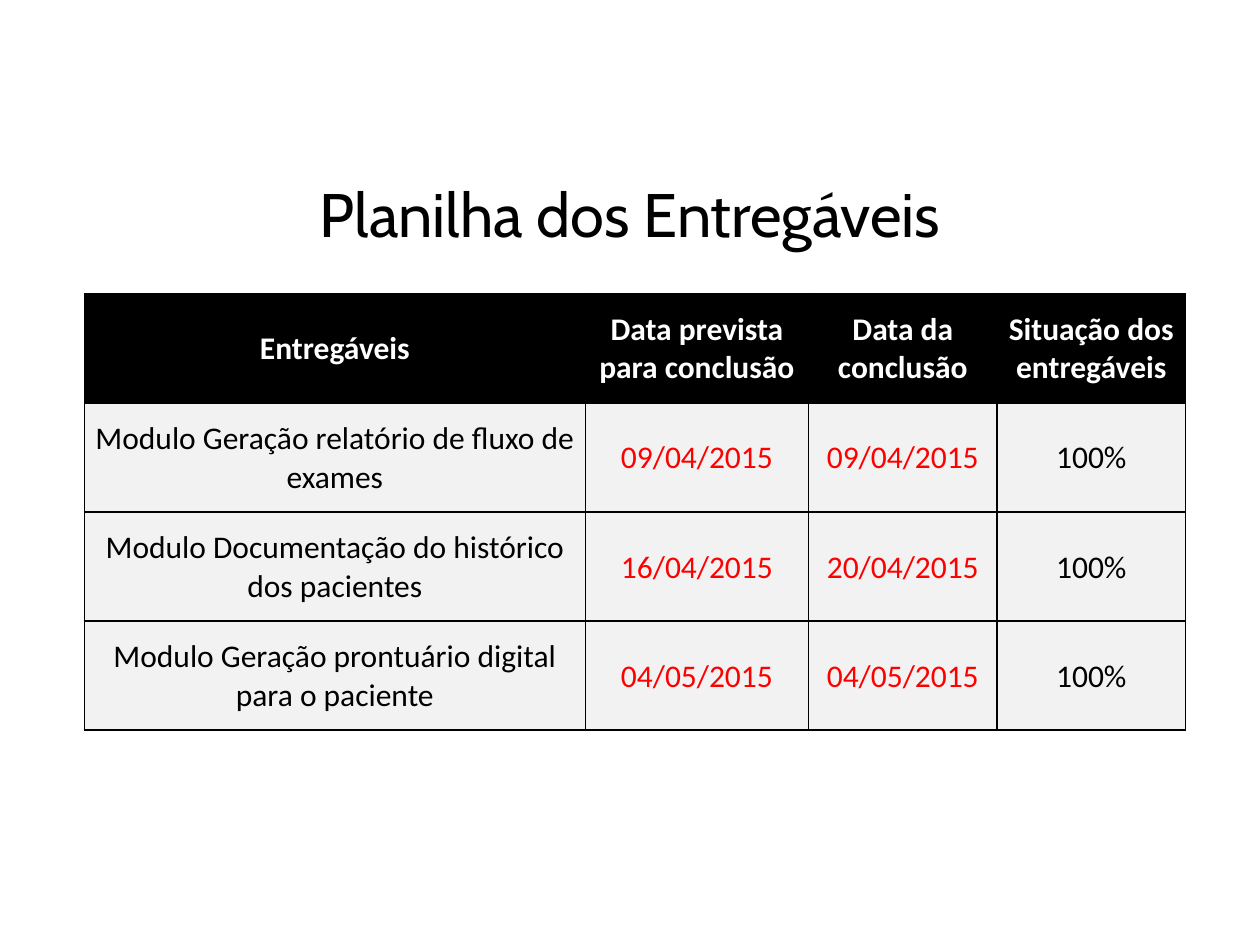
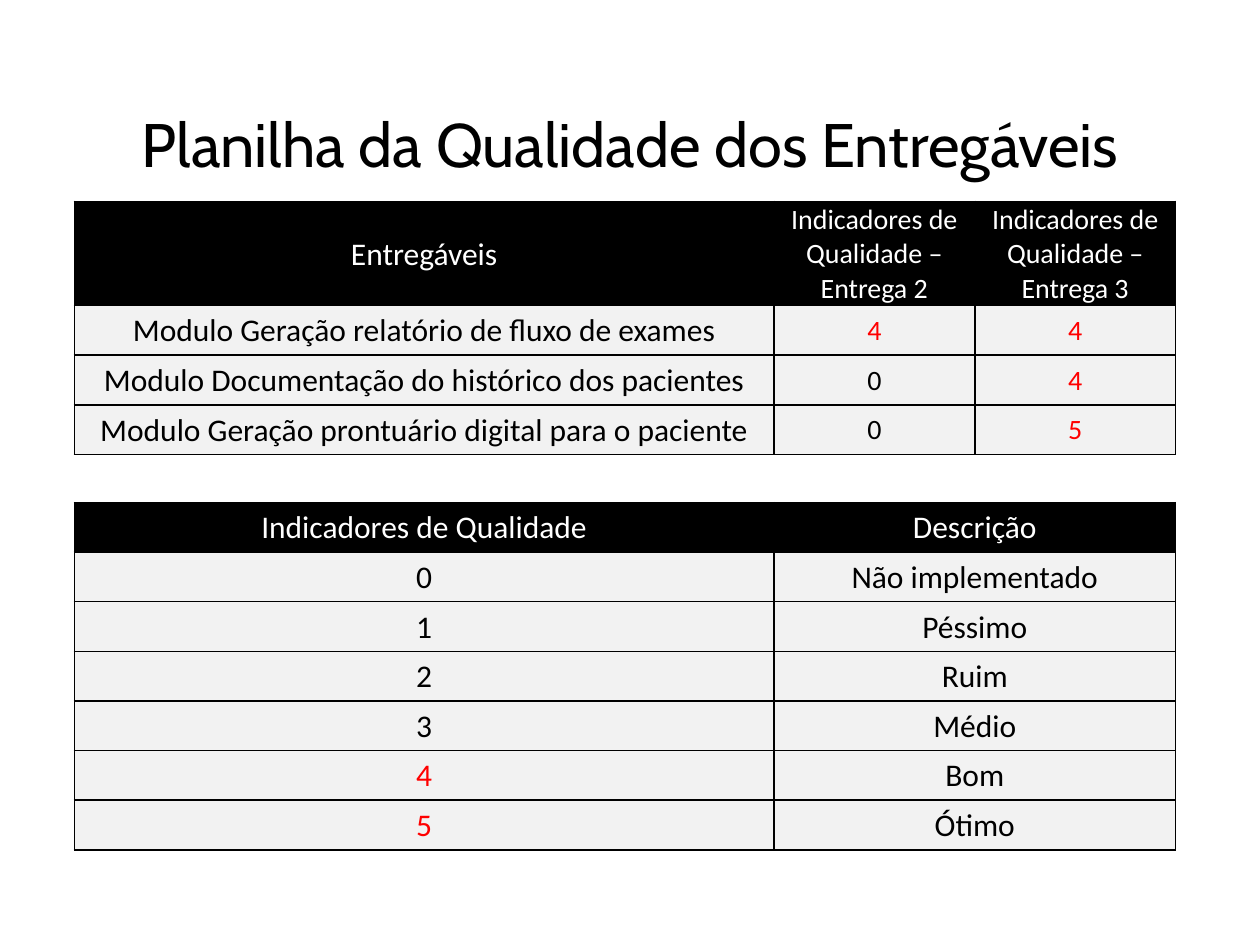
from pptx import Presentation
from pptx.dml.color import RGBColor
from pptx.enum.text import MSO_ANCHOR as Anchor, PP_ALIGN as Align
from pptx.oxml.ns import qn
from pptx.util import Cm, Pt
from lxml.etree import SubElement

BLACK = RGBColor(0x00, 0x00, 0x00)
WHITE = RGBColor(0xFF, 0xFF, 0xFF)
RED = RGBColor(0xFF, 0x00, 0x00)
LIGHT_GREY = RGBColor(0xF2, 0xF2, 0xF2)

SLIDE_WIDTH, SLIDE_HEIGHT = 25.4, 19.05
TITLE_HEIGHT = 2.16
TITLE_FONT = {"name": "Cabin", "size": Pt(35.1)}
CELL_FORMAT = {
    "margin_left": Cm(0.03),
    "margin_top": Cm(0.03),
    "margin_right": Cm(0.03),
    "margin_bottom": 0,
    "vertical_anchor": Anchor.MIDDLE,
}
TEXT_BOX_FORMAT = {
    "margin_left": 0,
    "margin_top": 0,
    "margin_right": 0,
    "margin_bottom": 0,
    "vertical_anchor": Anchor.TOP,
    "word_wrap": True,
}

MODULES = [
    "Modulo Geração relatório de fluxo de exames",
    "Modulo Documentação do histórico dos pacientes",
    "Modulo Geração prontuário digital para o paciente",
]
DELIVERY_HEADER = [
    "Entregáveis",
    "Data prevista para conclusão",
    "Data da conclusão",
    "Situação dos entregáveis",
]
DELIVERY_STATUS = [
    ("09/04/2015", "09/04/2015", "100%"),
    ("16/04/2015", "20/04/2015", "100%"),
    ("04/05/2015", "04/05/2015", "100%"),
]
QUALITY_HEADER = [
    "Entregáveis",
    "Indicadores de Qualidade – Entrega 2",
    "Indicadores de Qualidade – Entrega 3",
]
QUALITY_SCORES = [("4", "4"), ("0", "4"), ("0", "5")]
SCALE_HEADER = ["Indicadores de Qualidade", "Descrição"]
SCALE = ["Não implementado", "Péssimo", "Ruim", "Médio", "Bom", "Ótimo"]


def apply_format(target, values):
    for name, value in values.items():
        setattr(target, name, value)


def write(text_frame, text, font, color):
    paragraph = text_frame.paragraphs[0]
    paragraph.alignment = Align.CENTER
    run = paragraph.add_run()
    run.text = text
    apply_format(run.font, font)
    run.font.color.rgb = color


def add_borders(cell):
    properties = cell._tc.get_or_add_tcPr()
    for side in ("lnL", "lnR", "lnT", "lnB"):
        line = SubElement(properties, qn(f"a:{side}"), w=str(Pt(1)))
        fill = SubElement(line, qn("a:solidFill"))
        SubElement(fill, qn("a:srgbClr"), val=str(BLACK))


def add_title(slide, text, top):
    shape = slide.shapes.add_textbox(0, Cm(top), Cm(SLIDE_WIDTH), Cm(TITLE_HEIGHT))
    apply_format(shape.text_frame, TEXT_BOX_FORMAT)
    write(shape.text_frame, text, TITLE_FONT, BLACK)


def is_date(text):
    return "/" in text


def is_good_score(text):
    return text in ("4", "5")


def add_grid(slide, left, top, widths, header_height, row_height, rows, sizes,
             is_highlighted, bold_header=False):
    heights = [header_height] + [row_height] * (len(rows) - 1)
    shape = slide.shapes.add_table(
        len(rows), len(widths), Cm(left), Cm(top), Cm(sum(widths)), Cm(sum(heights)))
    table = shape.table
    apply_format(table, {"first_row": False, "horz_banding": False})
    for column, width in zip(table.columns, widths):
        column.width = Cm(width)
    for row_index, (row, height, texts) in enumerate(zip(table.rows, heights, rows)):
        row.height = Cm(height)
        in_header = row_index == 0
        for cell, text, size in zip(row.cells, texts, sizes):
            add_borders(cell)
            cell.fill.solid()
            cell.fill.fore_color.rgb = BLACK if in_header else LIGHT_GREY
            apply_format(cell, CELL_FORMAT)
            if in_header:
                color = WHITE
            else:
                color = RED if is_highlighted(text) else BLACK
            font = {"name": "Calibri", "size": Pt(size), "bold": in_header and bold_header}
            write(cell.text_frame, text, font, color)


def build_deliverables(slide):
    rows = [DELIVERY_HEADER]
    rows += [(module, *status) for module, status in zip(MODULES, DELIVERY_STATUS)]
    add_grid(slide, 1.7, 5.92, [10.1, 4.5, 3.8, 3.8], 2.2, 2.2, rows, [18] * 4,
             is_date, bold_header=True)
    add_title(slide, "Planilha dos Entregáveis", 3.56)


def build_quality(slide):
    left, first_width, score_width = 1.5, 14.1, 4.05
    scores = [QUALITY_HEADER]
    scores += [(module, *values) for module, values in zip(MODULES, QUALITY_SCORES)]
    add_grid(slide, left, 4.06, [first_width, score_width, score_width], 2.1, 1, scores,
             [18, 16, 16], is_good_score)
    scale = [SCALE_HEADER]
    scale += [(str(score), description) for score, description in enumerate(SCALE)]
    add_grid(slide, left, 10.13, [first_width, 2 * score_width], 1, 1, scale,
             [18, 18], is_good_score)
    add_title(slide, "Planilha da Qualidade dos Entregáveis", 2.13)


def main():
    presentation = Presentation()
    apply_format(presentation, {
        "slide_width": Cm(SLIDE_WIDTH),
        "slide_height": Cm(SLIDE_HEIGHT),
    })
    blank_layout = presentation.slide_layouts[6]
    for build in (build_deliverables, build_quality):
        build(presentation.slides.add_slide(blank_layout))
    presentation.save("out.pptx")


if __name__ == "__main__":
    main()
